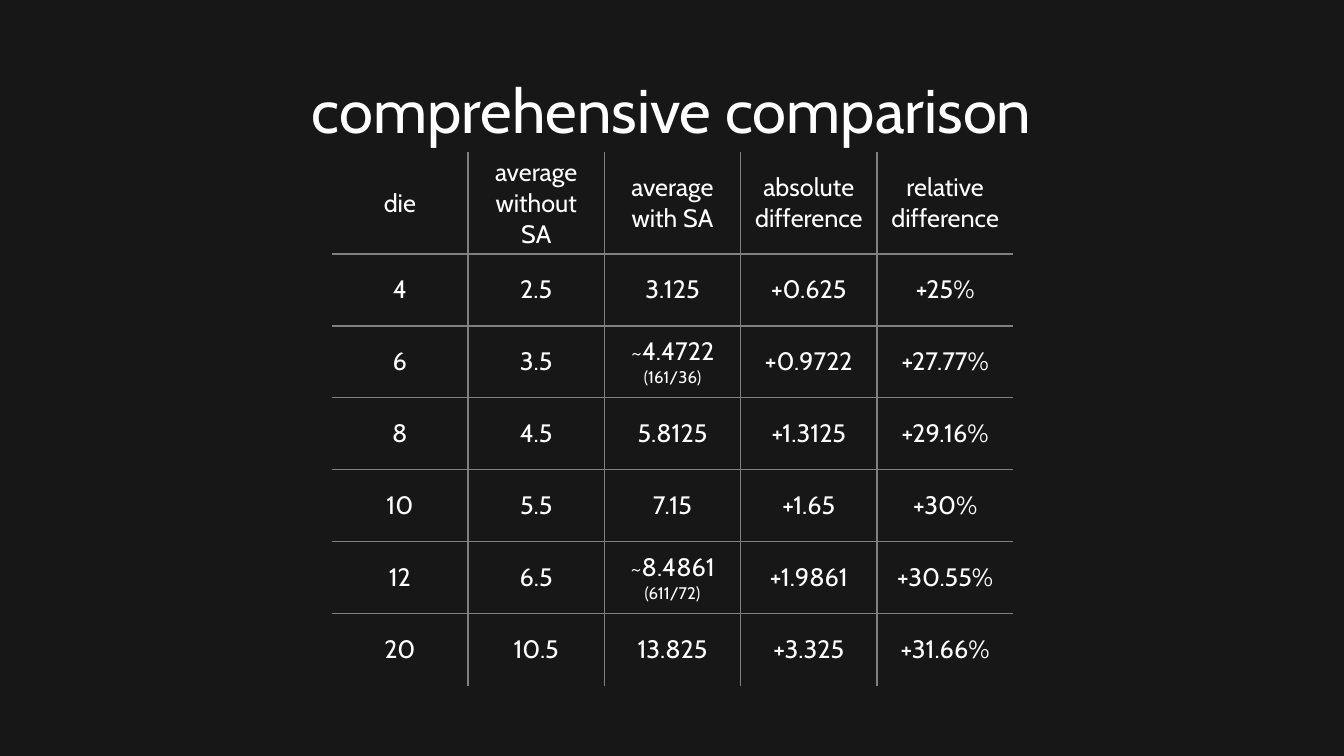
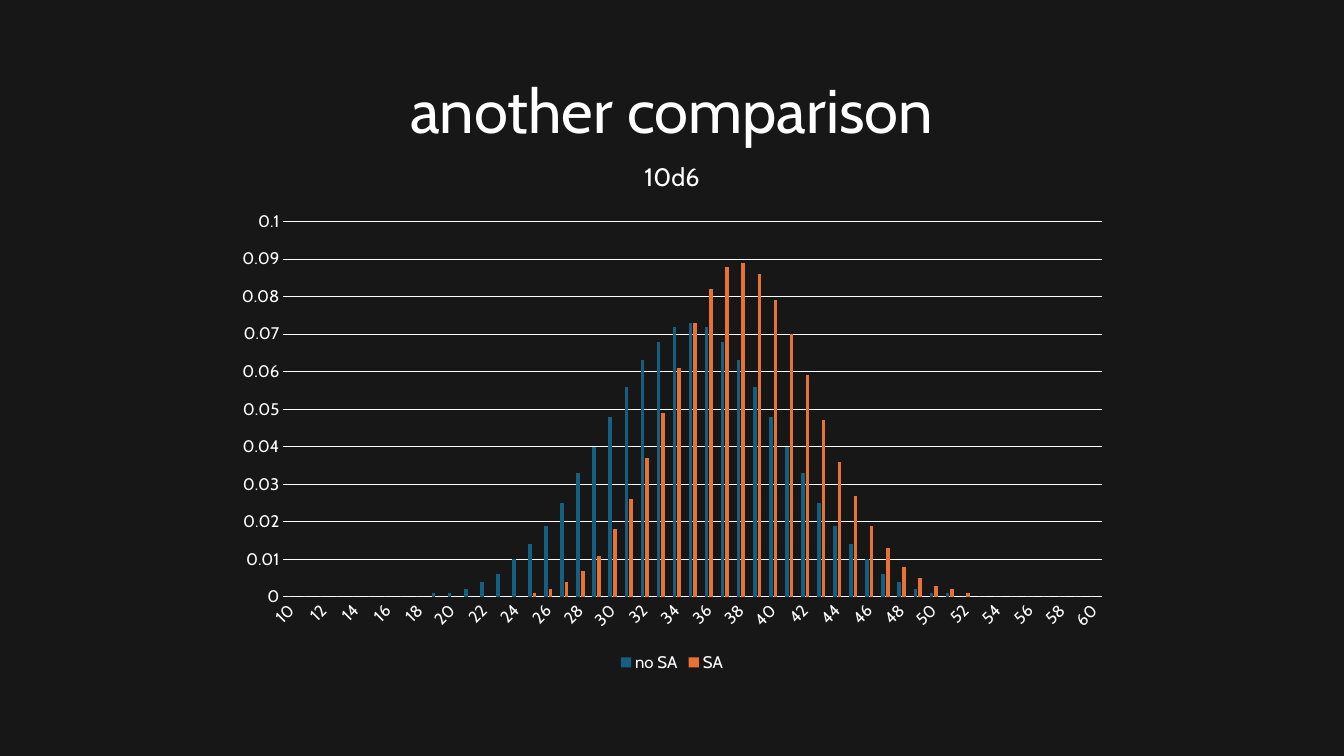
import pptx
import pptx.chart.data
import pptx.dml.color
import pptx.enum.chart
import pptx.enum.text
import pptx.oxml
import pptx.oxml.ns
import pptx.util
from pptx.util import Inches

FONT = "Cabin"
BACKGROUND = "171717"
WHITE = "FFFFFF"
GRID_GRAY = "808080"
BLUE = "156082"
ORANGE = "E97132"

COMPARISON = [
    ["die", "average without SA", "average with SA",
     "absolute difference", "relative difference"],
    ["4", "2.5", "3.125", "+0.625", "+25%"],
    ["6", "3.5", "~4.4722\n(161/36)", "+0.9722", "+27.77%"],
    ["8", "4.5", "5.8125", "+1.3125", "+29.16%"],
    ["10", "5.5", "7.15", "+1.65", "+30%"],
    ["12", "6.5", "~8.4861\n(611/72)", "+1.9861", "+30.55%"],
    ["20", "10.5", "13.825", "+3.325", "+31.66%"],
]

TOTALS = range(10, 61)
# The plain distribution is symmetric: rising half, peak at 35, mirrored half
RISING = [0] * 9 + [0.001, 0.001, 0.002, 0.004, 0.006, 0.01, 0.014, 0.019, 0.025,
                    0.033, 0.04, 0.048, 0.056, 0.063, 0.068, 0.072]
WITHOUT_SA = RISING + [0.073] + RISING[::-1]
WITH_SA = [0] * 15 + [
    0.001, 0.002, 0.004, 0.007, 0.011, 0.018, 0.026, 0.037, 0.049, 0.061,
    0.073, 0.082, 0.088, 0.089, 0.086, 0.079, 0.07, 0.059, 0.047, 0.036,
    0.027, 0.019, 0.013, 0.008, 0.005, 0.003, 0.002, 0.001] + [0] * 8
SERIES = [("no SA", WITHOUT_SA, BLUE), ("SA", WITH_SA, ORANGE)]


def color(hex_value):
    return pptx.dml.color.RGBColor.from_string(hex_value)


def style_font(font, size):
    font.name = FONT
    font.size = pptx.util.Pt(size)
    font.bold = False
    font.color.rgb = color(WHITE)


def style_line(line):
    line.color.rgb = color(WHITE)
    line.width = pptx.util.Pt(0.75)


def add_titled_slide(presentation, title):
    slide = presentation.slides.add_slide(presentation.slide_layouts[6])
    slide.background.fill.solid()
    slide.background.fill.fore_color.rgb = color(BACKGROUND)
    box = slide.shapes.add_textbox(Inches(1.53), Inches(0.4), Inches(10.27), Inches(1.45))
    frame = box.text_frame
    frame.word_wrap = True
    frame.vertical_anchor = pptx.enum.text.MSO_ANCHOR.MIDDLE
    paragraph = frame.paragraphs[0]
    paragraph.text = title
    paragraph.alignment = pptx.enum.text.PP_ALIGN.CENTER
    paragraph.line_spacing = 0.9
    style_font(paragraph.font, 44)
    return slide


def set_borders(cell, visible):
    """Draw the sides named in visible (from L, R, T, B) and clear the others."""
    properties = cell._tc.get_or_add_tcPr()
    for index, side in enumerate("LRTB"):
        paint = (f'<a:solidFill><a:srgbClr val="{GRID_GRAY}"/></a:solidFill>'
                 if side in visible else "<a:noFill/>")
        border = pptx.oxml.parse_xml(
            f'<a:ln{side} {pptx.oxml.ns.nsdecls("a")} w="{pptx.util.Pt(1)}">'
            f"{paint}</a:ln{side}>")
        properties.insert(index, border)


def fill_cell(cell, text):
    cell.fill.background()
    cell.vertical_anchor = pptx.enum.text.MSO_ANCHOR.MIDDLE
    cell.text = text
    for index, paragraph in enumerate(cell.text_frame.paragraphs):
        paragraph.alignment = pptx.enum.text.PP_ALIGN.CENTER
        style_font(paragraph.font, 12 if index else 18)


def add_inner_grid_table(slide, rows):
    row_count, column_count = len(rows), len(rows[0])
    table = slide.shapes.add_table(row_count, column_count, Inches(3.29), Inches(1.51),
                                   Inches(6.76), Inches(5.28)).table
    table.first_row = table.horz_banding = False
    for index, row in enumerate(table.rows):
        row.height = Inches(0.714 if index else 1.01)
    for row, texts in enumerate(rows):
        for column, text in enumerate(texts):
            cell = table.cell(row, column)
            fill_cell(cell, text)
            inner_sides = {"L": column > 0, "R": column < column_count - 1,
                           "T": row > 0, "B": row < row_count - 1}
            set_borders(cell, [side for side, inner in inner_sides.items() if inner])


def style_axes(chart):
    for axis in (chart.category_axis, chart.value_axis):
        axis.major_tick_mark = pptx.enum.chart.XL_TICK_MARK.NONE
        axis.minor_tick_mark = pptx.enum.chart.XL_TICK_MARK.NONE
        style_font(axis.tick_labels.font, 12)
    style_line(chart.category_axis.format.line)
    # Slant the category labels by 45 degrees
    label_body = chart.category_axis._element.find(
        f'{pptx.oxml.ns.qn("c:txPr")}/{pptx.oxml.ns.qn("a:bodyPr")}')
    label_body.set("rot", "-2700000")

    value_axis = chart.value_axis
    value_axis.minimum_scale = 0
    value_axis.maximum_scale = 0.1
    value_axis.major_unit = 0.01
    value_axis.format.line.fill.background()
    style_line(value_axis.major_gridlines.format.line)
    value_axis.tick_labels.number_format = "General"
    value_axis.tick_labels.number_format_is_linked = False


def add_column_chart(slide, title, categories, series_list):
    data = pptx.chart.data.CategoryChartData()
    data.categories = [str(category) for category in categories]
    for name, values, _ in series_list:
        data.add_series(name, values)
    chart = slide.shapes.add_chart(
        pptx.enum.chart.XL_CHART_TYPE.COLUMN_CLUSTERED,
        Inches(2.22), Inches(1.38), Inches(8.89), Inches(5.33), data).chart
    style_font(chart.font, 10)

    # Title and legend
    chart.has_title = True
    paragraph = chart.chart_title.text_frame.paragraphs[0]
    paragraph.text = title
    style_font(paragraph.font, 18)
    chart.chart_title.include_in_layout = False
    chart.has_legend = True
    chart.legend.position = pptx.enum.chart.XL_LEGEND_POSITION.BOTTOM
    chart.legend.include_in_layout = False
    style_font(chart.legend.font, 12)

    # Columns
    plot = chart.plots[0]
    plot.gap_width = 219
    plot.overlap = -27
    plot.vary_by_categories = False
    for series, (_, _, hex_value) in zip(plot.series, series_list):
        series.format.fill.solid()
        series.format.fill.fore_color.rgb = color(hex_value)
    style_axes(chart)


def main():
    presentation = pptx.Presentation()
    presentation.slide_width = Inches(13.33)
    presentation.slide_height = Inches(7.5)

    slide = add_titled_slide(presentation, "comprehensive comparison")
    add_inner_grid_table(slide, COMPARISON)

    slide = add_titled_slide(presentation, "another comparison")
    add_column_chart(slide, "10d6", TOTALS, SERIES)

    presentation.save("out.pptx")


if __name__ == "__main__":
    main()
